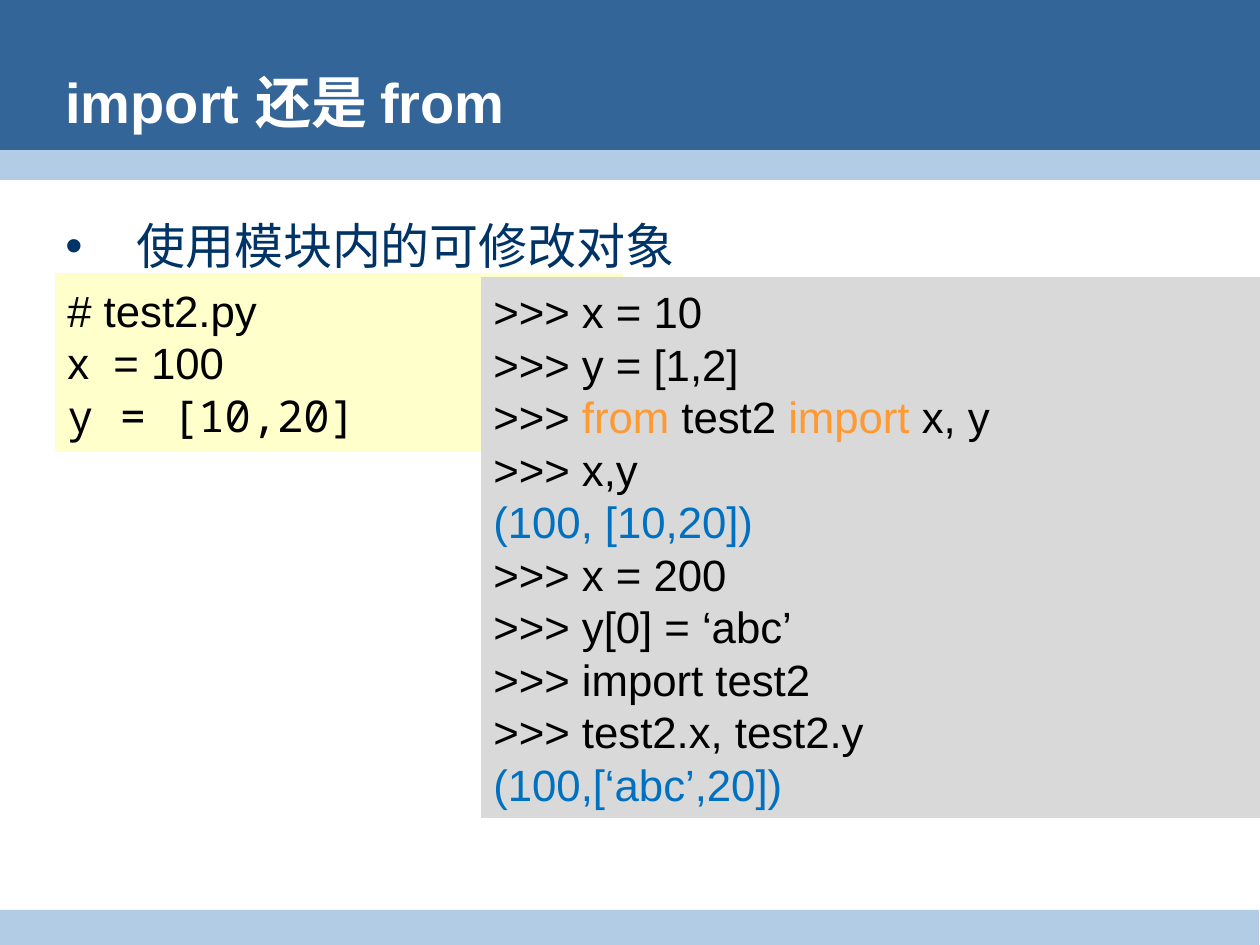
from pptx import Presentation
from pptx.dml.color import RGBColor
from pptx.enum.shapes import MSO_SHAPE as SHAPE
from pptx.enum.text import MSO_ANCHOR as ANCHOR, PP_ALIGN as ALIGN
from pptx.oxml.ns import qn
from pptx.util import Emu, Pt
from lxml.etree import SubElement

PX = 914400 / 126
COLORS = {
    "header": "336599",
    "band": "B3CCE6",
    "title": "FFFFFF",
    "bullet": "003366",
    "module": "FFFFCC",
    "session": "D9D9D9",
    "code": "000000",
    "keyword": "FF9933",
    "result": "0070C0",
}
LATIN = "Arial"
CJK = "Noto Sans CJK SC"
MONO = "Noto Sans Mono"


def px(n):
    return Emu(round(n * PX))


def rgb(name):
    return RGBColor.from_string(COLORS[name])


class Deck:
    def __init__(self, width, height):
        self.prs = Presentation()
        self.prs.slide_width, self.prs.slide_height = px(width), px(height)
        self.s = self.prs.slides.add_slide(self.prs.slide_layouts[6])

    def rect(self, box, color, kind=SHAPE.RECTANGLE):
        sp = self.s.shapes.add_shape(kind, *map(px, box))
        sp.shadow.inherit = False
        sp.fill.solid()
        sp.fill.fore_color.rgb = rgb(color)
        sp.line.fill.background()
        return sp

    def run(self, p, text, size, color, font=LATIN, bold=False):
        r = p.add_run()
        r.text = text
        r.font.size = Pt(size)
        r.font.bold = bold
        r.font.name = font
        r.font.color.rgb = rgb(color)
        SubElement(r.font._element, qn("a:ea"), typeface=CJK)

    def textbox(self, box, anchor):
        tf = self.s.shapes.add_textbox(*map(px, box)).text_frame
        tf.word_wrap = True
        tf.vertical_anchor = anchor
        return tf.paragraphs[0]

    def title(self, box, text):
        p = self.textbox(box, ANCHOR.MIDDLE)
        self.run(p, text, 32, "title", bold=True)

    def bullet(self, box, text, indent):
        p = self.textbox(box, ANCHOR.TOP)
        p.line_spacing = 1.3
        pPr = p._p.get_or_add_pPr()
        pPr.set("marL", str(px(indent)))
        pPr.set("indent", str(-px(indent)))
        clr = SubElement(pPr, qn("a:buClr"))
        SubElement(clr, qn("a:srgbClr"), val=COLORS["bullet"])
        SubElement(pPr, qn("a:buFont"), typeface=LATIN)
        SubElement(pPr, qn("a:buChar"), char="•")
        self.run(p, text, 28, "bullet", CJK)

    def code(self, box, color, lines):
        tf = self.rect(box, color, SHAPE.FLOWCHART_PROCESS).text_frame
        tf.word_wrap = True
        tf.vertical_anchor = ANCHOR.MIDDLE
        for i, line in enumerate(lines):
            p = tf.add_paragraph() if i else tf.paragraphs[0]
            p.alignment = ALIGN.LEFT
            for text, *style in line:
                self.run(p, text, 25, *(style or ["code"]))


def main():
    deck = Deck(1260, 945)
    deck.rect((0, 0, 1260, 165), "header")
    deck.rect((0, 150, 1260, 30), "band")
    deck.rect((0, 910, 1259, 38), "band")
    deck.bullet((53, 192, 1194, 80), "使用模块内的可修改对象", 71)
    deck.title((53, 65, 1142, 73), "import 还是 from")
    deck.code((55, 273, 568, 179), "module", [
        [("# test2.py",)],
        [("x  = 100",)],
        [("y = [10,20]", "code", MONO)],
    ])
    deck.code((481, 277, 781, 541), "session", [
        [(">>> x = 10",)],
        [(">>> y = [1,2]",)],
        [(">>> ",), ("from", "keyword"), (" test2 ",),
         ("import ", "keyword"), ("x, y",)],
        [(">>> x,y",)],
        [("(100, [10,20])", "result")],
        [(">>> x = 200",)],
        [(">>> y[0] = ‘abc’",)],
        [(">>> import test2",)],
        [(">>> test2.x, test2.y",)],
        [("(100,[‘abc’,20])", "result")],
    ])
    deck.prs.save("out.pptx")


if __name__ == "__main__":
    main()
